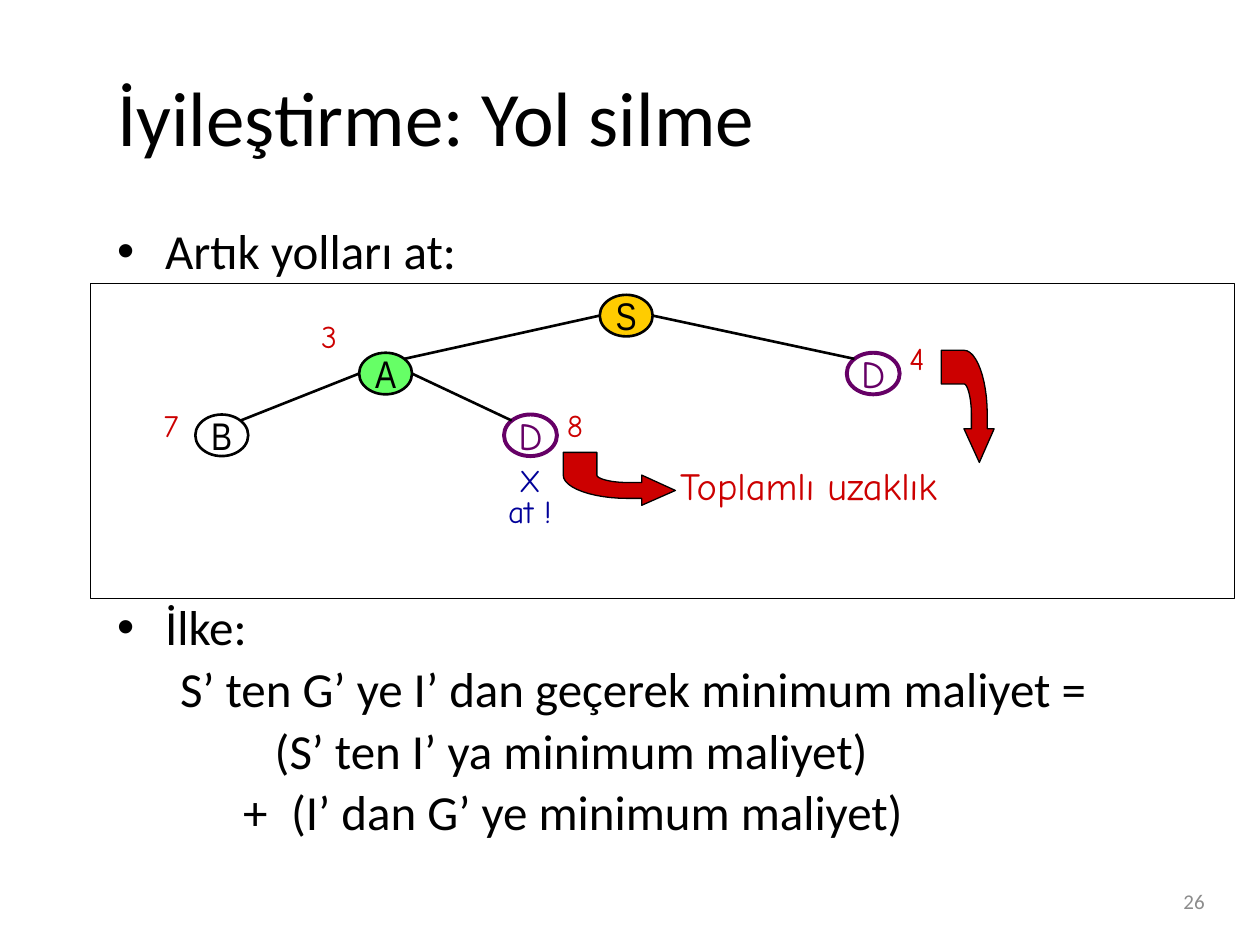
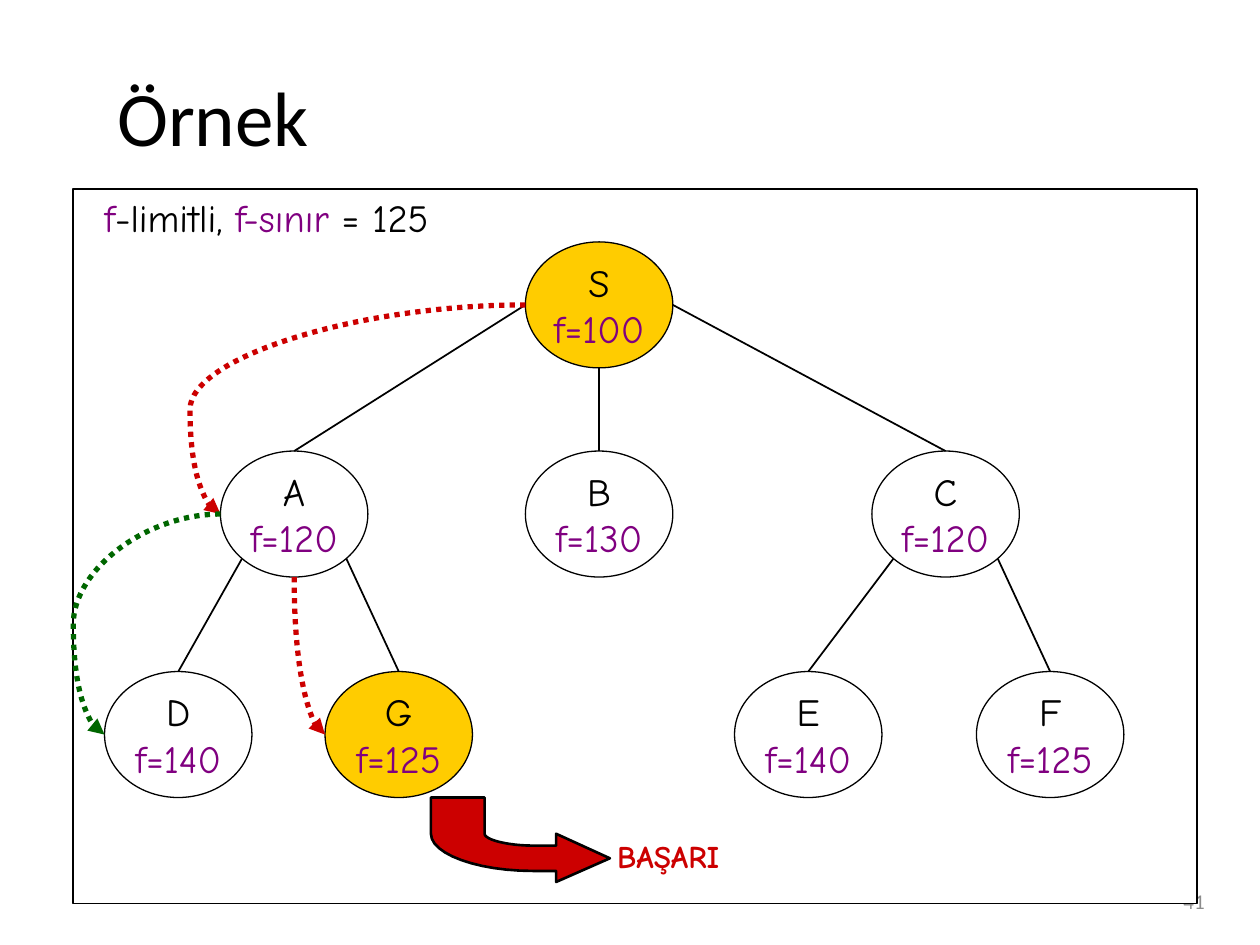
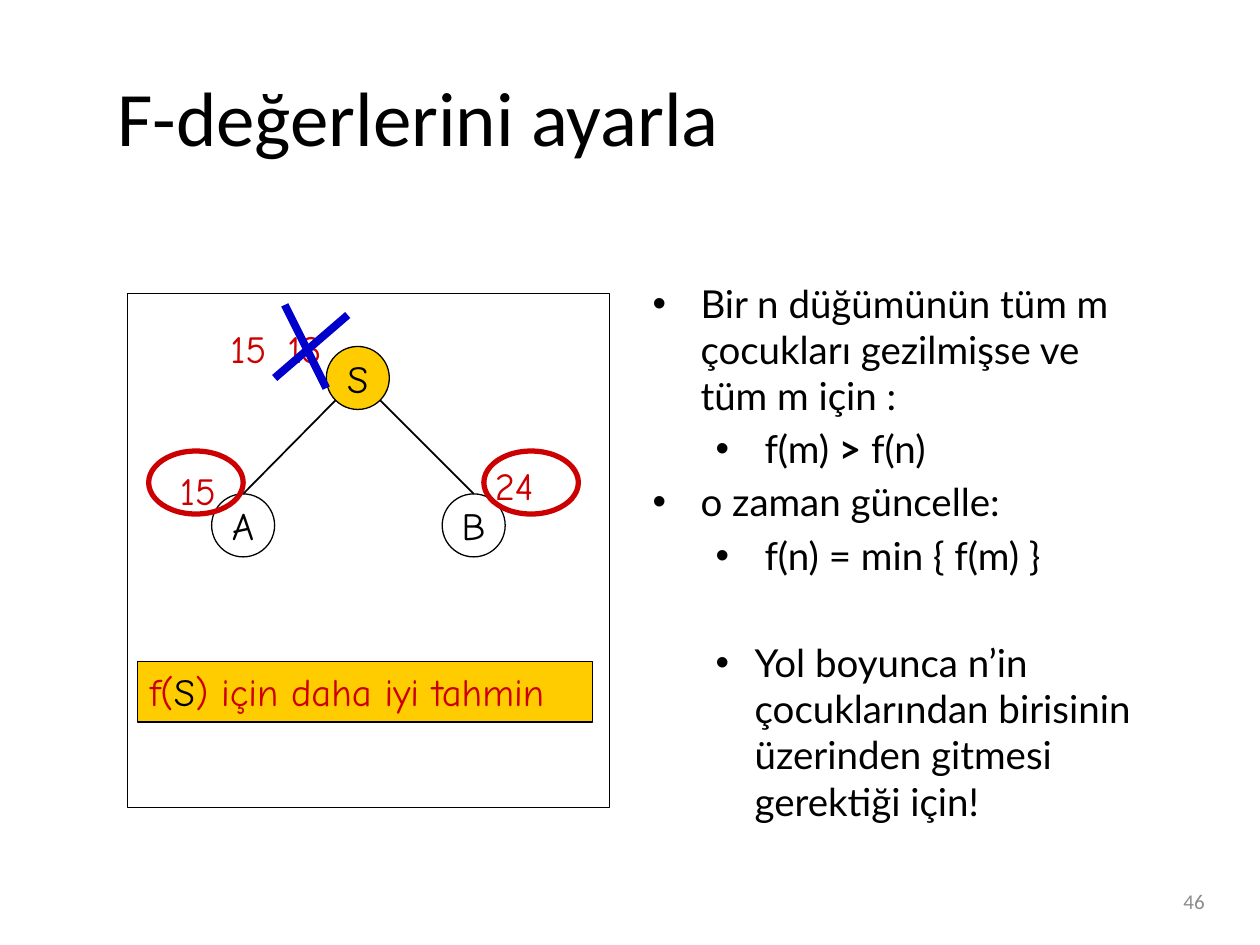
from lxml import etree
from pptx import Presentation
from pptx.dml.color import RGBColor
from pptx.enum.dml import MSO_LINE
from pptx.enum.shapes import MSO_CONNECTOR, MSO_SHAPE
from pptx.enum.text import MSO_ANCHOR, MSO_AUTO_SIZE, PP_ALIGN
from pptx.oxml.ns import qn
from pptx.util import Inches, Pt

OVAL, RECT = MSO_SHAPE.OVAL, MSO_SHAPE.RECTANGLE
STRAIGHT, CURVE = MSO_CONNECTOR.STRAIGHT, MSO_CONNECTOR.CURVE
DOTS = MSO_LINE.ROUND_DOT
MIDDLE, TOP = MSO_ANCHOR.MIDDLE, MSO_ANCHOR.TOP
LEFT, CENTER, RIGHT = PP_ALIGN.LEFT, PP_ALIGN.CENTER, PP_ALIGN.RIGHT
GROW, FIXED = MSO_AUTO_SIZE.SHAPE_TO_FIT_TEXT, MSO_AUTO_SIZE.NONE

BLACK = RGBColor(0x00, 0x00, 0x00)
WHITE = RGBColor(0xFF, 0xFF, 0xFF)
GRAY = RGBColor(0x8C, 0x8C, 0x8C)
GOLD = RGBColor(0xFF, 0xCC, 0x00)
LIME = RGBColor(0x66, 0xFF, 0x66)
GREEN = RGBColor(0x00, 0x66, 0x00)
RED = RGBColor(0xCC, 0x00, 0x00)
PLUM = RGBColor(0x66, 0x00, 0x66)
PURPLE = RGBColor(0x80, 0x00, 0x80)
NAVY = RGBColor(0x00, 0x00, 0x99)
BLUE = RGBColor(0x00, 0x00, 0xCC)

MAIN, COMIC, NARROW, LATO = "Calibri", "Comic Neue", "Arial Narrow", "Lato"

SPOTS = {
    "top": (0.5, 0), "left": (0, 0.5), "bottom": (0.5, 1), "right": (1, 0.5),
    "top left": (0.146, 0.146), "top right": (0.854, 0.146),
    "low left": (0.146, 0.854), "low right": (0.854, 0.854),
}


def style(font, size, name, color, bold=None):
    font.size, font.name, font.bold = Pt(size), name, bold
    font.color.rgb = color


def write(frame, lines, size, name, align=LEFT, bold=None):
    for i, runs in enumerate(lines):
        para = frame.paragraphs[0] if i == 0 else frame.add_paragraph()
        para.alignment = align
        style(para.font, size, name, runs[0][1], bold)
        for text, color in runs:
            run = para.add_run()
            run.text = text
            if len(runs) > 1:
                run.font.color.rgb = color


def place(shape, x, y, w, h):
    shape.left, shape.top = Inches(x), Inches(y)
    shape.width, shape.height = Inches(w), Inches(h)


def paint(shape, fill, line, width):
    shape.shadow.inherit = False
    if fill is None:
        shape.fill.background()
    else:
        shape.fill.solid()
        shape.fill.fore_color.rgb = fill
    shape.line.color.rgb = line
    shape.line.width = Pt(width)


def draw(slide, kind, x, y, w, h, fill, line=BLACK, width=0.75):
    shape = slide.shapes.add_shape(kind, Inches(x), Inches(y), Inches(w), Inches(h))
    paint(shape, fill, line, width)
    return shape


def node(slide, x, y, w, h, lines, fill=WHITE, line=BLACK, width=0.75, name=COMIC):
    shape = draw(slide, OVAL, x, y, w, h, fill, line, width)
    frame = shape.text_frame
    frame.word_wrap = False
    frame.vertical_anchor = MIDDLE
    write(frame, lines, 22, name, CENTER)
    return shape


def label(slide, x, y, w, h, lines, size=22, align=LEFT, bold=None):
    box = slide.shapes.add_textbox(Inches(x), Inches(y), Inches(w), Inches(h))
    frame = box.text_frame
    frame.word_wrap = False
    frame.auto_size = GROW
    write(frame, lines, size, COMIC, align, bold)
    return box


def link(slide, kind, start, end, color, width):
    line = slide.shapes.add_connector(kind, *(int(v) for v in (*start, *end)))
    line.line.color.rgb = color
    line.line.width = Pt(width)
    etree.SubElement(line.element.spPr, qn("a:effectLst"))
    return line


def spot(shape, side):
    u, v = SPOTS[side]
    return shape.left + u * shape.width, shape.top + v * shape.height


def join(slide, one, side, two, goal="top", width=1):
    line = link(slide, STRAIGHT, spot(one, side), spot(two, goal), BLACK, width)
    if goal == "top":
        line.end_connect(two, 0)


def trail(slide, start, end, color, bulge=None):
    if bulge is None:
        (a, b), (c, d) = start, end
        mid_x, mid_y = (a + c) / 2, (b + d) / 2
        half_w, half_h = (d - b) / 2, (c - a) / 2
        start = mid_x + half_w, mid_y - half_h
        end = mid_x - half_w, mid_y + half_h
    line = link(slide, CURVE, start, end, color, 3)
    line.line.dash_style = DOTS
    props = line.element.spPr
    etree.SubElement(props.find(qn("a:ln")), qn("a:tailEnd"), type="triangle")
    geom = props.find(qn("a:prstGeom"))
    if bulge is None:
        line.rotation = 270 if hasattr(line, "rotation") else 0
        props.find(qn("a:xfrm")).set("rot", str(270 * 60000))
        geom.set("prst", "curvedConnector2")
    else:
        guides = geom.find(qn("a:avLst"))
        if guides is None:
            guides = etree.SubElement(geom, qn("a:avLst"))
        etree.SubElement(guides, qn("a:gd"), name="adj1", fmla=f"val {round(bulge * 100000)}")


def bend(a, b, c, d, steps=12):
    result = []
    for i in range(1, steps + 1):
        t = i / steps
        s = 1 - t
        result.append(tuple(
            s ** 3 * p + 3 * s * s * t * q + 3 * s * t * t * r + t ** 3 * e
            for p, q, r, e in zip(a, b, c, d)))
    return result


HOOK = [(1, 0.72), (0.7, 1), (0.7, 0.87), (0.57, 0.87),
        *bend((0.57, 0.87), (0.26, 0.87), (0, 0.67), (0, 0.43)),
        (0, 0), (0.3, 0), (0.3, 0.43),
        *bend((0.3, 0.43), (0.3, 0.5), (0.43, 0.57), (0.57, 0.57)),
        (0.7, 0.57), (0.7, 0.43)]


def hook(slide, x, y, w, h, width=0.75, down=False):
    points = [(v, u) if down else (u, v) for u, v in HOOK]
    points = [(Inches(x + u * w), Inches(y + v * h)) for u, v in points]
    form = slide.shapes.build_freeform(*points[0], scale=1.0)
    form.add_line_segments(points[1:], close=True)
    paint(form.convert_to_shape(), RED, BLACK, width)


def page(deck, layout, title, number):
    slide = deck.slides.add_slide(deck.slide_layouts[layout])
    head = slide.shapes.title
    place(head, 0.83, 0.29, 8.83, 1.25)
    head.text_frame.vertical_anchor = MIDDLE
    write(head.text_frame, [[(title, BLACK)]], 44, MAIN)
    foot = slide.shapes.add_textbox(Inches(7.33), Inches(6.95), Inches(2.33), Inches(0.4))
    foot.text_frame.word_wrap = True
    foot.text_frame.vertical_anchor = MIDDLE
    write(foot.text_frame, [[(number, GRAY)]], 12, MAIN, RIGHT)
    return slide


def listing(slide, box, items, size, name, pitch):
    body = slide.placeholders[1]
    place(body, *box)
    frame = body.text_frame
    frame.word_wrap = True
    frame.auto_size = FIXED
    frame.vertical_anchor = TOP
    for i, (text, level, margin, indent, dot, gap) in enumerate(items):
        para = frame.paragraphs[0] if i == 0 else frame.add_paragraph()
        para.level = level
        props = para._p.get_or_add_pPr()
        props.set("marL", str(Inches(margin)))
        props.set("indent", str(Inches(indent)))
        if dot:
            etree.SubElement(props, qn("a:buChar"), char="•")
        else:
            etree.SubElement(props, qn("a:buNone"))
        para.line_spacing = pitch
        para.space_before = Pt(gap)
        para.alignment = LEFT
        style(para.font, size, name, BLACK)
        for part in text if isinstance(text, list) else [text]:
            run = para.add_run()
            run.text = part
            if part == ">":
                run.font.bold = True


def prune(slide, x, y, w, h):
    draw(slide, RECT, x, y, w, h, WHITE)

    def dot(text, left, top, fill=WHITE, ink=BLACK, width=1.5, name=NARROW):
        return node(slide, x + left, y + top, 0.42, 0.33, [[(text, ink)]],
                    fill, ink, width, name)

    root = dot("S", 4.04, 0.09, GOLD)
    far, near = (dot("D", left, top, WHITE, PLUM, 2.25, COMIC)
                 for left, top in ((6, 0.55), (3.28, 1.04)))
    a = dot("A", 2.13, 0.55, LIME)
    b = dot("B", 0.83, 1.04)
    for one, low, high in ((root, a, far), (a, b, near)):
        join(slide, one, "left", low, "top right", 1.5)
        join(slide, one, "right", high, "top left", 1.5)
    for text, left, top in (("4", 6.4, 0.39), ("3", 1.73, 0.22),
                            ("7", 0.48, 0.92), ("8", 3.68, 0.92)):
        label(slide, x + left, y + top, 0.4, 0.5, [[(text, RED)]], 18)
    hook(slide, x + 6.75, y + 0.53, 0.42, 0.89, down=True)
    label(slide, x + 4.58, y + 1.37, 2.45, 0.47, [[("Toplamlı uzaklık", RED)]])
    hook(slide, x + 3.75, y + 1.34, 0.89, 0.42)
    drop = label(slide, x + 3.13, y + 1.42, 0.71, 0.74,
                 [[("X", NAVY)], [("at !", NAVY)]], 18, CENTER)
    for para in drop.text_frame.paragraphs:
        para.line_spacing = 0.8


def limit(slide, x, y, w, h):
    draw(slide, RECT, x, y, w, h, WHITE)
    rows = ((0.42, (("S", 100, 3.59),)),
            (2.08, (("A", 120, 1.17), ("B", 130, 3.59), ("C", 120, 6.34))),
            (3.83, (("D", 140, 0.25), ("G", 125, 2), ("E", 140, 5.25), ("F", 125, 7.17))))
    nodes = {}
    for top, row in rows:
        for name, cost, left in row:
            nodes[name] = node(slide, x + left, y + top, 1.17, 1,
                               [[(name, BLACK)], [(f"f={cost}", PURPLE)]],
                               GOLD if name in "SG" else WHITE)
    for one, side, two in (("S", "left", "A"), ("S", "bottom", "B"), ("S", "right", "C"),
                           ("A", "low left", "D"), ("A", "low right", "G"),
                           ("C", "low left", "E"), ("C", "low right", "F")):
        join(slide, nodes[one], side, nodes[two])
    label(slide, x + 0.15, y - 0.01, 3.22, 0.47,
          [[("f", PURPLE), ("-limitli, ", BLACK), ("f-sınır", PURPLE), (" = 125", BLACK)]])
    hook(slide, x + 2.84, y + 4.83, 1.42, 0.67, 1.5)
    label(slide, x + 4.22, y + 5.09, 1.52, 0.5, [[("BAŞARI", RED)]], 18, bold=True)
    for one, side, two, color, bulge in (("S", "left", "A", RED, 1.1),
                                         ("A", "bottom", "G", RED, None),
                                         ("A", "left", "D", GREEN, 1.27)):
        trail(slide, spot(nodes[one], side), spot(nodes[two], "left"), color, bulge)


def update(slide, x, y, w, h):
    draw(slide, RECT, x, y, w, h, WHITE)
    root, a, b = (node(slide, x + left, y + top, 0.5, 0.5, [[(text, BLACK)]], fill)
                  for text, left, top, fill in (("S", 1.58, 0.42, GOLD),
                                                ("A", 0.67, 1.59, WHITE),
                                                ("B", 2.5, 1.59, WHITE)))
    join(slide, root, "low left", a)
    join(slide, root, "low right", b)
    for text, left, top, wide in (("13", 1.17, 0.2, 0.52), ("15", 0.32, 1.33, 0.52),
                                  ("24", 2.82, 1.29, 0.57), ("15", 0.72, 0.2, 0.52)):
        label(slide, x + left, y + top, wide, 0.47, [[(text, RED)]])
    for p, q, r, s in ((1.25, 0.09, 1.58, 0.75), (1.75, 0.17, 1.17, 0.67)):
        link(slide, STRAIGHT, (Inches(x + p), Inches(y + q)),
             (Inches(x + r), Inches(y + s)), BLUE, 4.5)
    for left in (2.83, 0.17):
        draw(slide, OVAL, x + left, y + 1.25, 0.75, 0.5, None, RED, 3)
    band = draw(slide, RECT, x + 0.08, y + 2.92, 3.61, 0.48, GOLD)
    band.text_frame.word_wrap = False
    band.text_frame.vertical_anchor = TOP
    write(band.text_frame, [[("f(", RED), ("S", BLACK), (") için daha iyi tahmin", RED)]],
          22, COMIC)


def main():
    deck = Presentation()
    deck.slide_width, deck.slide_height = Inches(10), Inches(7.5)

    slide = page(deck, 1, "İyileştirme: Yol silme", "26")
    listing(slide, (0.83, 1.75, 8.83, 5.23), [
        ("Artık yolları at:", 0, 0.38, -0.38, True, 0),
        ("İlke:", 0, 0.38, -0.38, True, 185),
        ("S’ ten G’ ye I’ dan geçerek minimum maliyet =", 1, 0.5, 0, False, 5),
        ("(S’ ten I’ ya minimum maliyet)", 2, 1.25, 0, False, 5),
        ("+\t(I’ dan G’ ye minimum maliyet)", 2, 1.38, -0.38, False, 5),
    ], 28, MAIN, 0.9)
    prune(slide, 0.72, 2.25, 9.08, 2.5)

    slide = page(deck, 5, "Örnek", "41")
    limit(slide, 0.58, 1.5, 8.92, 5.67)

    slide = page(deck, 1, "F-değerlerini ayarla", "46")
    update(slide, 1.01, 2.33, 3.83, 4.08)
    listing(slide, (5.08, 2.17, 4.17, 5.05), [
        ("Bir n düğümünün tüm m çocukları gezilmişse ve tüm m için :", 0, 0.38, -0.38, True, 0),
        ([" f(m) ", ">", " f(n)"], 1, 0.81, -0.31, True, 4),
        ("o zaman güncelle:", 0, 0.38, -0.38, True, 4),
        (" f(n) = min { f(m) }", 1, 0.81, -0.31, True, 4),
        ("Yol boyunca n’in çocuklarından birisinin üzerinden gitmesi gerektiği için!",
         1, 0.81, -0.31, True, 35),
    ], 22, LATO, 1.0)

    deck.save("out.pptx")


if __name__ == "__main__":
    main()
